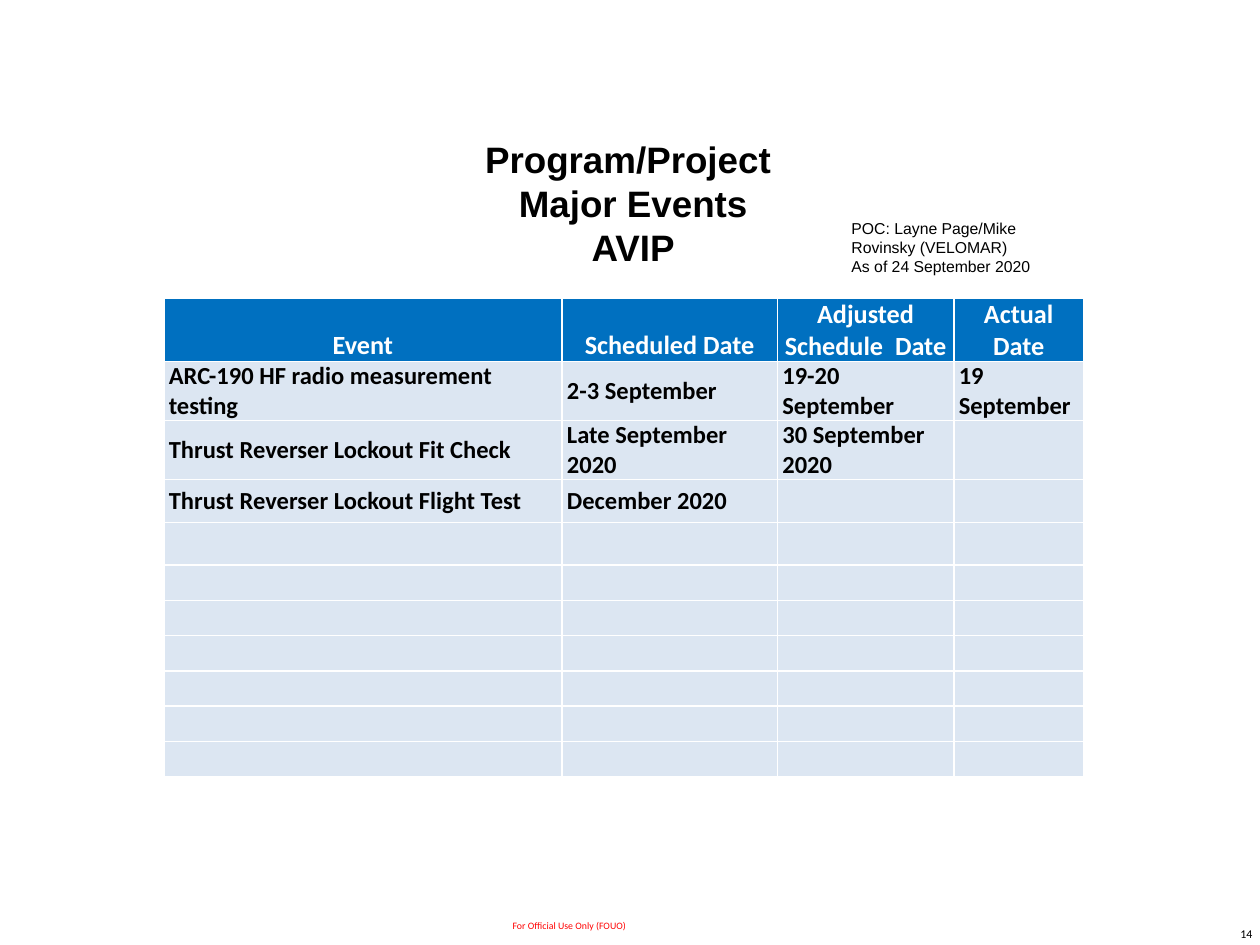
from lxml import etree
from pptx import Presentation
from pptx.dml.color import RGBColor
from pptx.enum import text as t
from pptx.oxml import ns
from pptx.util import Inches, Pt

HUES = {"ink": "000000", "white": "FFFFFF", "head": "0070C0",
        "body": "DCE6F2", "alert": "FF0000"}
LEFT, MID, RIGHT = t.PP_ALIGN.LEFT, t.PP_ALIGN.CENTER, t.PP_ALIGN.RIGHT

COLS = [3.16, 1.71, 1.4, 1.03]
ROWS = [0.5] + [0.45] * 2 + [0.34] * 2 + [0.28] * 6
EVENTS = [
    ["Event", "Scheduled Date", "Adjusted Schedule  Date", "Actual Date"],
    ["ARC-190 HF radio measurement testing", "2-3 September",
     "19-20 September", "19 September"],
    ["Thrust Reverser Lockout Fit Check", "Late September 2020",
     "30 September 2020", ""],
    ["Thrust Reverser Lockout Flight Test", "December 2020", "", ""],
]


def hue(name):
    return RGBColor.from_string(HUES[name])


def apply(item, props):
    for key, val in props.items():
        setattr(item, key, val)


def write(frame, words, size, face, color="ink", bold=False, align=LEFT):
    frame.text = words
    for para in frame.paragraphs:
        para.alignment = align
        for run in para.runs:
            apply(run.font, {"size": Pt(size), "name": face, "bold": bold})
            run.font.color.rgb = hue(color)


def add_title(slide, box):
    title = slide.shapes.title
    apply(title, dict(zip(("left", "top", "width", "height"), map(Inches, box))))
    frame = title.text_frame
    write(frame, "Program/Project \vMajor Events\vAVIP", 21, "Arial",
          bold=True, align=MID)
    apply(frame, {"vertical_anchor": t.MSO_ANCHOR.MIDDLE, "word_wrap": True,
                  "auto_size": t.MSO_AUTO_SIZE.NONE})


def add_note(slide, box, words, props, **style):
    frame = slide.shapes.add_textbox(*map(Inches, box)).text_frame
    write(frame, words, **style)
    apply(frame, props)


def fill_cell(cell, words, head):
    pad = Inches(0.04)
    anchor = t.MSO_ANCHOR.BOTTOM if head else t.MSO_ANCHOR.MIDDLE
    apply(cell, {"margin_left": pad, "margin_right": pad, "margin_top": 0,
                 "margin_bottom": 0, "vertical_anchor": anchor})
    cell.fill.solid()
    cell.fill.fore_color.rgb = hue("head" if head else "body")
    if words:
        write(cell.text_frame, words, 15 if head else 14, "Calibri",
              "white" if head else "ink", True, MID if head else LEFT)
    else:
        # A small end mark keeps blank rows from growing
        para = cell.text_frame.paragraphs[0]._p
        etree.SubElement(para, ns.qn("a:endParaRPr"), sz="1400")


def add_events(slide, left, top):
    """Event grid; the default table style draws the white cell borders."""
    size = map(Inches, (left, top, sum(COLS), sum(ROWS)))
    grid = slide.shapes.add_table(len(ROWS), len(COLS), *size).table
    grid.horz_banding = False
    for col, wide in zip(grid.columns, COLS):
        col.width = Inches(wide)
    for r, (row, high) in enumerate(zip(grid.rows, ROWS)):
        row.height = Inches(high)
        line = EVENTS[r] if r < len(EVENTS) else [""] * len(COLS)
        for cell, words in zip(row.cells, line):
            fill_cell(cell, words, r == 0)


def main():
    deck = Presentation()
    apply(deck, {"slide_width": Inches(10), "slide_height": Inches(7.5)})
    slide = deck.slides.add_slide(deck.slide_layouts[5])
    fit = t.MSO_AUTO_SIZE.SHAPE_TO_FIT_TEXT
    side, edge = Inches(0.06), Inches(0.03)
    add_note(slide, (7.92, 7, 2.08, 0.5), "14",
             {"word_wrap": True, "vertical_anchor": t.MSO_ANCHOR.BOTTOM,
              "margin_left": side, "margin_right": side,
              "margin_top": edge, "margin_bottom": edge},
             size=6.8, face="Calibri", align=RIGHT)
    add_note(slide, (3.97, 7.25, 1.13, 0.2), "For Official Use Only (FOUO)",
             {"word_wrap": False, "auto_size": fit},
             size=5.6, face="Calibri", color="alert")
    add_title(slide, (1.65, 1.14, 6.75, 0.94))
    add_events(slide, 1.3, 2.37)
    add_note(slide, (6.66, 1.69, 2.03, 0.56),
             "POC: Layne Page/Mike Rovinsky (VELOMAR)\nAs of 24 September 2020",
             {"word_wrap": True, "auto_size": fit}, size=9, face="Arial")
    deck.save("out.pptx")


if __name__ == "__main__":
    main()
